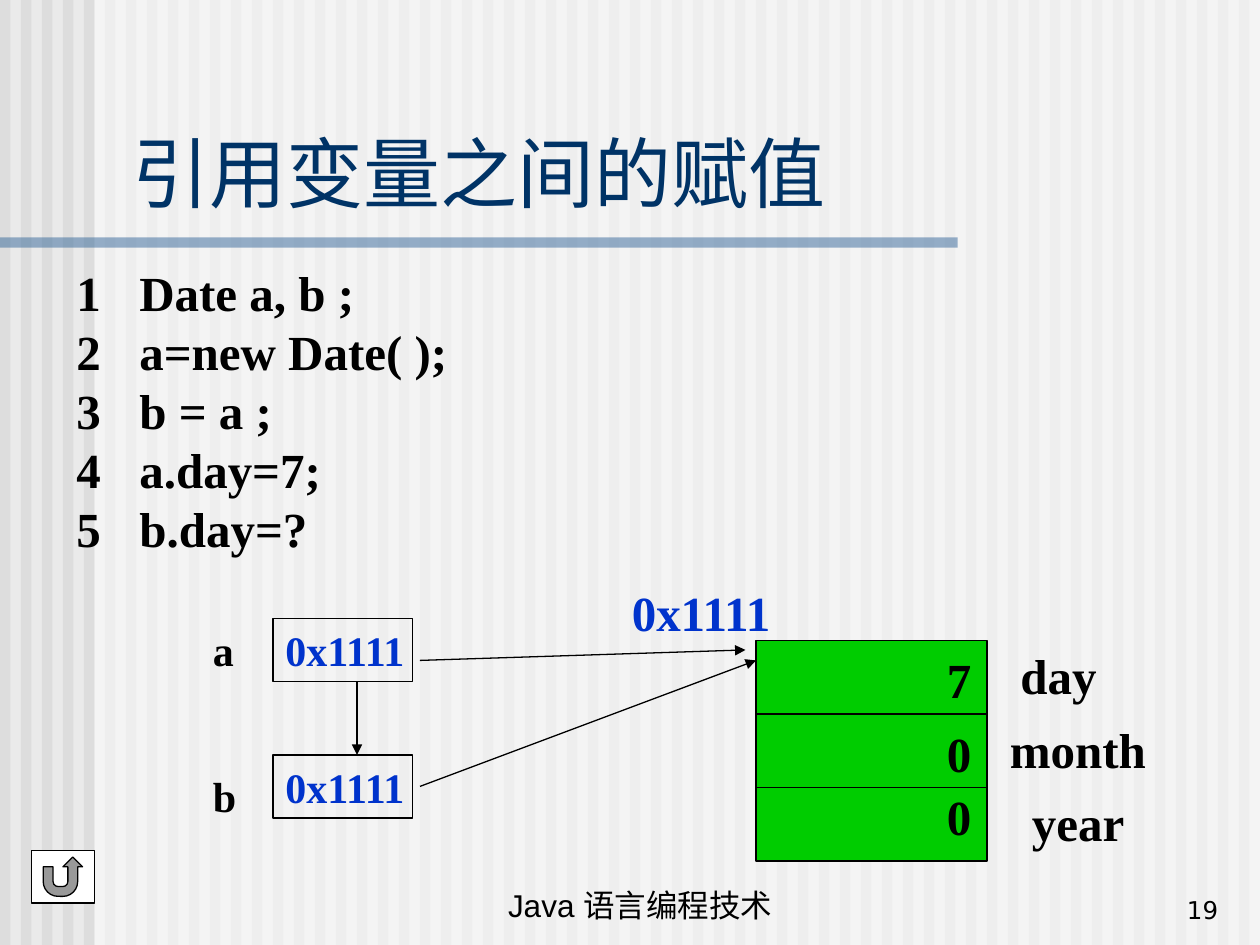
from lxml.etree import SubElement
from pptx import Presentation
from pptx.dml.color import RGBColor
from pptx.enum.shapes import MSO_CONNECTOR, MSO_SHAPE
from pptx.enum.text import MSO_ANCHOR, MSO_AUTO_SIZE, PP_ALIGN
from pptx.oxml.ns import qn
from pptx.util import Inches, Pt

BACKGROUND = RGBColor(0xEA, 0xEA, 0xEA)
STRIPE = RGBColor(0xDD, 0xDD, 0xDD)
WHITE = RGBColor(0xFF, 0xFF, 0xFF)
BLACK = RGBColor(0x00, 0x00, 0x00)
RULE = RGBColor(0x33, 0x66, 0x99)
NAVY = RGBColor(0x00, 0x33, 0x66)
ADDRESS = RGBColor(0x00, 0x33, 0xCC)
GREEN = RGBColor(0x00, 0xCC, 0x00)

COLUMNS, ROWS = 120, 90
SERIF = "Times New Roman"


class SlideBuilder:
    def __init__(self, deck):
        self.slide = deck.slides.add_slide(deck.slide_layouts[5])
        self.shapes = self.slide.shapes
        self.column = deck.slide_width / COLUMNS
        self.row = deck.slide_height / ROWS
        fill = self.slide.background.fill
        fill.solid()
        fill.fore_color.rgb = BACKGROUND

    def place(self, left, top, width, height):
        return (round(left * self.column), round(top * self.row),
                round(width * self.column), round(height * self.row))

    def fill_text(self, shape, text, size, color=BLACK, font=SERIF, bold=True,
                  align=PP_ALIGN.LEFT, anchor=MSO_ANCHOR.TOP, wrap=False):
        frame = shape.text_frame
        frame.text = text
        frame.word_wrap = wrap
        frame.auto_size = MSO_AUTO_SIZE.NONE
        frame.vertical_anchor = anchor
        for paragraph in frame.paragraphs:
            paragraph.alignment = align
            for run in paragraph.runs:
                run.font.size = Pt(size)
                run.font.name = font
                run.font.bold = bold
                run.font.color.rgb = color
        return frame

    def title(self, area, text):
        heading = self.shapes.title
        heading.left, heading.top, heading.width, heading.height = self.place(*area)
        self.shapes.element.append(heading.element)
        self.fill_text(heading, text, 44, NAVY, bold=False,
                       anchor=MSO_ANCHOR.BOTTOM, wrap=True)

    def text(self, area, text, size, **style):
        return self.fill_text(self.shapes.add_textbox(*self.place(*area)), text, size, **style)

    def code(self, area, lines):
        frame = self.text(area, "\n".join(lines), 28, wrap=True)
        for paragraph in frame.paragraphs:
            paragraph.line_spacing = Pt(33.75)
            properties = paragraph._p.get_or_add_pPr()
            properties.set("marL", str(Inches(0.5)))
            properties.set("indent", str(-Inches(0.5)))
            SubElement(properties, qn("a:buFont"), typeface="+mj-lt")
            SubElement(properties, qn("a:buAutoNum"), type="arabicPlain")

    def box(self, area, fill=None, alpha=None, outlined=False, kind=MSO_SHAPE.RECTANGLE):
        shape = self.shapes.add_shape(kind, *self.place(*area))
        shape.shadow.inherit = False
        if fill is None:
            shape.fill.background()
        else:
            shape.fill.solid()
            shape.fill.fore_color.rgb = fill
        if alpha is not None:
            color = shape.element.spPr.find(qn("a:solidFill"))[0]
            SubElement(color, qn("a:alpha"), val=str(alpha * 1000))
        if outlined:
            shape.line.color.rgb = BLACK
            shape.line.width = Pt(0.75)
        else:
            shape.line.fill.background()
        return shape

    def line(self, start, end, arrow=False):
        connector = self.shapes.add_connector(
            MSO_CONNECTOR.STRAIGHT, *self.place(*start, *end))
        connector.line.color.rgb = BLACK
        connector.line.width = Pt(0.75)
        if arrow:
            outline = connector.element.spPr.find(qn("a:ln"))
            SubElement(outline, qn("a:tailEnd"), type="triangle")
        SubElement(connector.element.spPr, qn("a:effectLst"))


def backdrop(page):
    for column in range(0, COLUMNS, 2):
        page.box((column, 0, 1, ROWS), STRIPE)
    page.box((9, 0, COLUMNS - 9, ROWS), WHITE, alpha=50)
    page.box((0, 22.6, 91.2, 1), RULE, alpha=50)


def references(page):
    for name, name_top, box_top in (("a", 58.9, 58.9), ("b", 72.8, 71.9)):
        page.text((19.1, name_top, 4.4, 6), name, 24)
        variable = page.box((26, box_top, 13.3, 6), outlined=True)
        page.fill_text(variable, "0x1111", 24, ADDRESS)
    page.line((34, 64.9), (34, 71.9), arrow=True)
    page.line((40, 62.9), (71, 61.9), arrow=True)
    page.line((40, 74.9), (72, 62.9), arrow=True)


def date_object(page):
    page.box((72, 61, 22, 21), GREEN, outlined=True)
    for row in (68, 75):
        page.line((72, row), (94, row))
    page.text((59, 54.9, 16.3, 6.8), "0x1111", 28, color=ADDRESS)
    fields = (("day", 96, 60.9, 9.6, "7", 61.3),
              ("month", 95, 67.9, 15.4, "0", 68.3),
              ("year", 97.1, 74.9, 11.2, "0", 74.3))
    for name, left, top, width, value, value_top in fields:
        page.text((left, top, width, 6.8), name, 28)
        page.text((89, value_top, 4.7, 6.8), value, 28)


def main():
    deck = Presentation()
    deck.slide_width, deck.slide_height = Inches(10), Inches(7.5)
    page = SlideBuilder(deck)
    backdrop(page)
    page.title((11.4, 11.3, 107.2, 10.1), "引用变量之间的赋值")
    page.code((6.1, 24.4, 49.7, 29.3),
              ("Date a, b ;", "a=new Date( );", "b = a ;", "a.day=7;", "b.day=?"))
    references(page)
    date_object(page)
    page.box((3, 81, 6, 5), WHITE, outlined=True, kind=MSO_SHAPE.ACTION_BUTTON_RETURN)
    page.text((47.2, 82.6, 38, 6), "Java 语言编程技术", 18, font="Arial",
              bold=False, anchor=MSO_ANCHOR.BOTTOM, wrap=True)
    page.text((92.2, 82.6, 25, 6), "19", 14, font="DejaVu Sans", bold=False,
              align=PP_ALIGN.RIGHT, anchor=MSO_ANCHOR.BOTTOM, wrap=True)
    deck.save("out.pptx")


if __name__ == "__main__":
    main()
